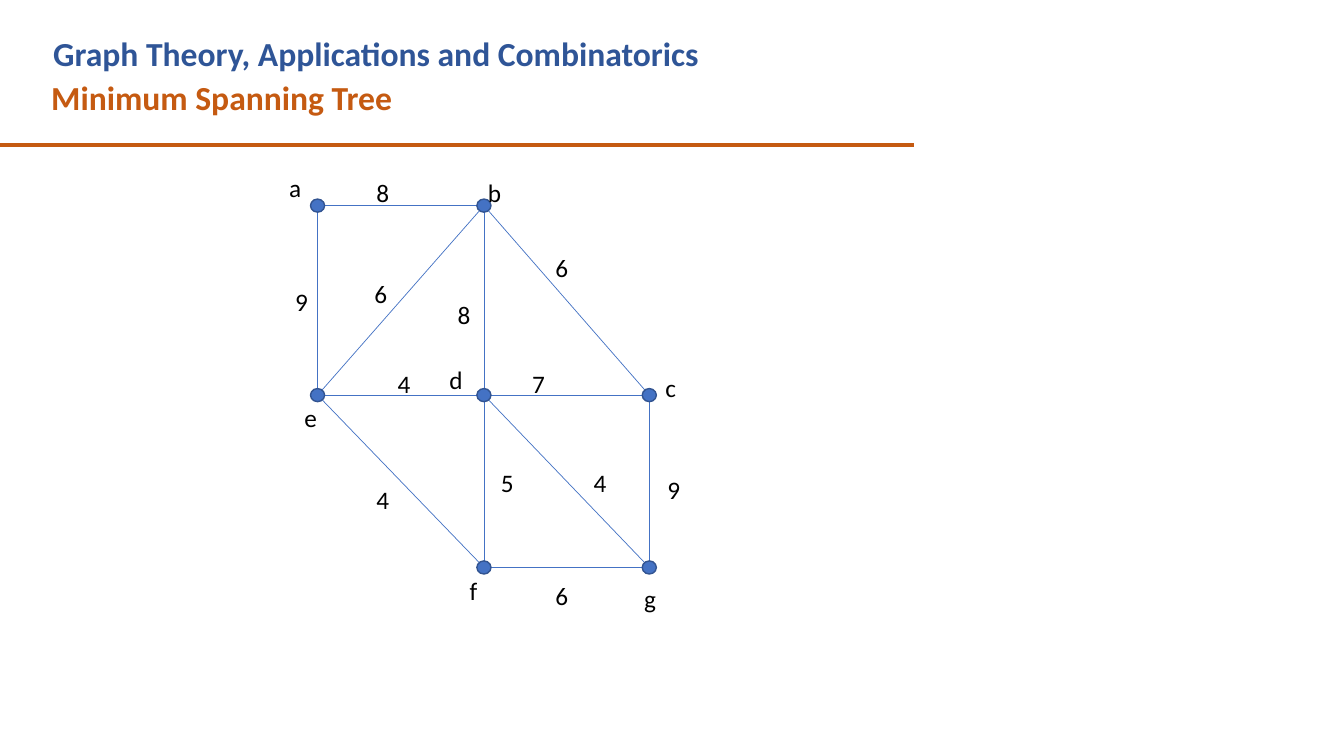
import pptx
import pptx.util
import pptx.dml.color
import pptx.enum.shapes
import pptx.oxml.ns
import lxml.etree

COLORS = {"title": "2F5597", "accent": "C55A11", "node": "4472C4",
          "outline": "325491", "text": "000000", "page": "FFFFFF"}
FONT = "Calibri"
HEADINGS = [
    ("Minimum Spanning Tree", "accent", 0.41, 0.71, 8.75),
    ("Graph Theory, Applications and Combinatorics", "title", 0.43, 0.28, 8.2),
]
COLUMNS = [3.15, 4.8, 6.44]
ROWS = [2.04, 3.92, 5.63]
NODE_SIZE = (0.14, 0.13)
LABEL_WIDTH, LABEL_HEIGHT = 0.46, 0.4

# name: column, row, label offset
NODES = {
    "a": (0, 0, -0.38, -0.38),
    "b": (1, 0, -0.06, -0.33),
    "c": (2, 1, 0.06, -0.28),
    "d": (1, 1, -0.44, -0.35),
    "e": (0, 1, -0.23, 0.02),
    "f": (1, 2, -0.24, 0.03),
    "g": (2, 2, -0.15, 0.11),
}
# ends, weight, weight offset from the midpoint, weight width
EDGES = [
    ("ab", 8, -0.34, -0.33, 0.46),
    ("ae", 9, -0.32, -0.19, 0.36),
    ("be", 6, -0.36, -0.27, 0.36),
    ("bd", 8, -0.36, -0.06, 0.36),
    ("ed", 4, -0.13, -0.32, 0.36),
    ("ef", 4, -0.34, -0.02, 0.46),
    ("df", 5, 0.07, -0.19, 0.24),
    ("bc", 6, -0.21, -0.53, 0.64),
    ("dc", 7, -0.44, -0.32, 0.34),
    ("dg", 4, 0.17, -0.19, 0.34),
    ("cg", 9, 0.08, -0.12, 0.29),
    ("fg", 6, -0.21, 0.08, 0.64),
]

inches = pptx.util.Inches


def color(name):
    return pptx.dml.color.RGBColor.from_string(COLORS[name])


def add_text(page, text, left, top, width, height, size, shade, bold=False):
    box = page.shapes.add_textbox(inches(left), inches(top), inches(width), inches(height))
    box.text_frame.word_wrap = True
    para = box.text_frame.paragraphs[0]
    para.text = text
    para.font.name = FONT
    para.font.size = pptx.util.Pt(size)
    para.font.bold = bold
    para.font.color.rgb = color(shade)


def add_line(page, start, end, shade, weight):
    line = page.shapes.add_connector(
        pptx.enum.shapes.MSO_CONNECTOR.STRAIGHT, *map(inches, start + end))
    line.line.color.rgb = color(shade)
    line.line.width = pptx.util.Pt(weight)
    lxml.etree.SubElement(line._element.spPr, pptx.oxml.ns.qn("a:effectLst"))


def center(name):
    column, row = NODES[name][:2]
    return COLUMNS[column], ROWS[row]


def add_node(page, name):
    x, y = center(name)
    width, height = NODE_SIZE
    node = page.shapes.add_shape(
        pptx.enum.shapes.MSO_SHAPE.OVAL, inches(x - width / 2), inches(y - height / 2),
        inches(width), inches(height))
    node.shadow.inherit = False
    node.fill.solid()
    node.fill.fore_color.rgb = color("node")
    node.line.color.rgb = color("outline")
    node.line.width = pptx.util.Pt(1)


def main():
    deck = pptx.Presentation()
    deck.slide_width, deck.slide_height = inches(13.33), inches(7.5)
    page = deck.slides.add_slide(deck.slide_layouts[6])
    page.background.fill.solid()
    page.background.fill.fore_color.rgb = color("page")

    for text, shade, left, top, width in HEADINGS:
        add_text(page, text, left, top, width, 0.5, 24, shade, True)
    add_line(page, (0, 1.44), (9.07, 1.44), "accent", 3)

    for (start, end), *rest in EDGES:
        add_line(page, center(start), center(end), "node", 0.5)
    for name in NODES:
        add_node(page, name)
    for name, (column, row, dx, dy) in NODES.items():
        add_text(page, name, COLUMNS[column] + dx, ROWS[row] + dy,
                 LABEL_WIDTH, LABEL_HEIGHT, 18, "text")
    for (start, end), weight, dx, dy, width in EDGES:
        x, y = [(first + last) / 2 for first, last in zip(center(start), center(end))]
        add_text(page, str(weight), x + dx, y + dy, width, LABEL_HEIGHT, 18, "text")

    deck.save("out.pptx")


if __name__ == "__main__":
    main()
